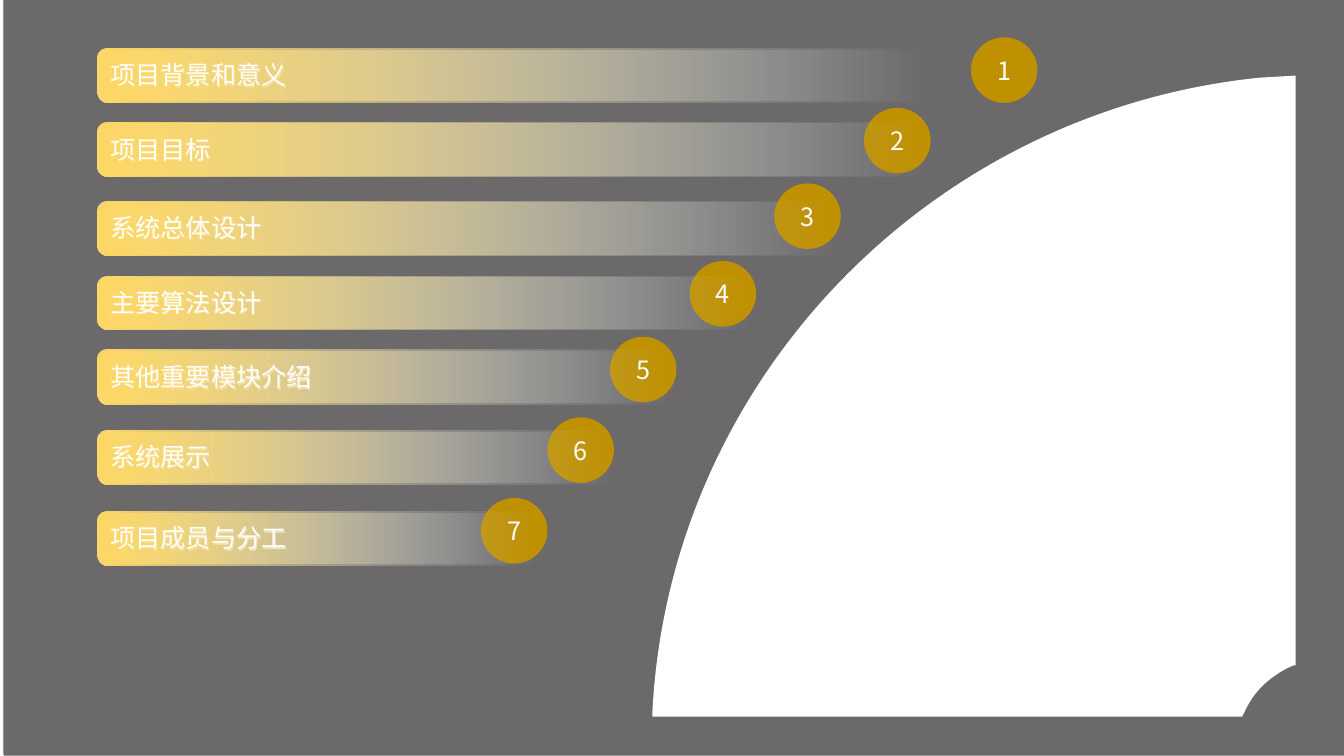
import lxml.etree
import pptx
import pptx.dml.color
import pptx.enum.shapes
import pptx.enum.text
import pptx.oxml.ns
import pptx.util

PX = 9144
FONT = "Noto Sans CJK SC"
SHAPE = pptx.enum.shapes.MSO_SHAPE
ALIGN = pptx.enum.text.PP_ALIGN
rgb = pptx.dml.color.RGBColor.from_string
qn = pptx.oxml.ns.qn

prs = pptx.Presentation()
prs.slide_width = 1333 * PX
prs.slide_height = 750 * PX
s = prs.slides.add_slide(prs.slide_layouts[6])


def add_shape(kind, x, y, w, h, colors, alpha=100, text="", align=ALIGN.LEFT):
    sp = s.shapes.add_shape(kind, x * PX, y * PX, w * PX, h * PX)
    sp.shadow.inherit = False
    sp.line.fill.background()
    if len(colors) == 1:
        sp.fill.solid()
        sp.fill.fore_color.rgb = rgb(colors[0])
    else:
        sp.fill.gradient()
        sp.fill.gradient_angle = 180
        for stop, color in zip(sp.fill.gradient_stops, colors):
            stop.color.rgb = rgb(color)
    if alpha < 100:
        clr = sp._element.spPr.find(".//" + qn("a:srgbClr"))
        lxml.etree.SubElement(clr, qn("a:alpha"), val=str(alpha * 1000))
    if text:
        tf = sp.text_frame
        tf.vertical_anchor = pptx.enum.text.MSO_ANCHOR.MIDDLE
        p = tf.paragraphs[0]
        p.text = text
        p.alignment = align
        p.font.size = pptx.util.Pt(18)
        p.font.color.rgb = rgb("FFFFFF")
        p.font.name = FONT
        lxml.etree.SubElement(p.font._rPr, qn("a:ea"), typeface=FONT)


def add_wheel(quadrants):
    fb = s.shapes.build_freeform(*quadrants[0][0], scale=PX)
    curve_starts = []
    count = 0
    for i, (start, *segments) in enumerate(quadrants):
        if i:
            fb.move_to(*start)
        points = []
        for segment in segments:
            if len(segment) == 3:
                curve_starts.append(count + len(points))
                points.extend(segment)
            else:
                points.append(segment)
        fb.add_line_segments(points, close=True)
        count += len(points)
    wheel = fb.convert_to_shape()
    wheel.shadow.inherit = False
    wheel.fill.solid()
    wheel.fill.fore_color.rgb = rgb("FFFFFF")
    wheel.line.fill.background()
    nodes = wheel._element.findall(".//" + qn("a:lnTo"))
    for i in curve_starts:
        nodes[i].tag = qn("a:cubicBezTo")
        for node in nodes[i + 1:i + 3]:
            nodes[i].append(node[0])
            node.getparent().remove(node)


quadrants = [
    [(1403, 778), (1991, 778), (1989, 806),
     ((1957, 1132), (1687, 1389), (1354, 1406)),
     (1351, 1406), (1351, 821), (1355, 820),
     ((1376, 812), (1393, 797), (1403, 778))],
    [(647, 778), (1235, 778), (1236, 778),
     ((1245, 797), (1262, 812), (1283, 820)),
     (1285, 821), (1285, 1406), (1250, 1404),
     ((932, 1372), (680, 1120), (649, 804))],
    [(1285, 75), (1285, 660), (1283, 660),
     ((1262, 669), (1245, 684), (1236, 703)),
     (1232, 711), (647, 711), (647, 708),
     ((663, 378), (922, 110), (1250, 77))],
    [(1351, 74), (1354, 75),
     ((1698, 92), (1974, 366), (1991, 707)),
     (1991, 711), (1407, 711), (1403, 703),
     ((1393, 684), (1376, 669), (1355, 660)), (1351, 659)],
]

items = [
    ("项目背景和意义", 50, 48, 826, 963, 37),
    ("项目目标", 123, 122, 826, 857, 107),
    ("系统总体设计", 201, 200, 737, 768, 182),
    ("主要算法设计", 275, 274, 652, 684, 259),
    ("其他重要模块介绍", 349, 347, 573, 605, 334),
    ("系统展示", 429, 427, 512, 543, 414),
    ("项目成员与分工", 509, 507, 436, 477, 494),
]

for x, y in [(3, -1), (4, 0)]:
    add_shape(SHAPE.RECTANGLE, x, y, 1333, 750, ["3B3838"], 50)

for layer, bar_x in enumerate([98, 97]):
    if layer:
        add_wheel(quadrants)
        for number, (text, *tops, w, cx, cy) in enumerate(items, 1):
            add_shape(SHAPE.OVAL, cx, cy, 66, 65, ["BF9000"],
                      text=str(number), align=ALIGN.CENTER)
    for text, *tops, w, cx, cy in items:
        add_shape(SHAPE.ROUNDED_RECTANGLE, bar_x, tops[layer], w, 52,
                  ["C7D5ED", "FFD966"], 0, text)

prs.save("out.pptx")
